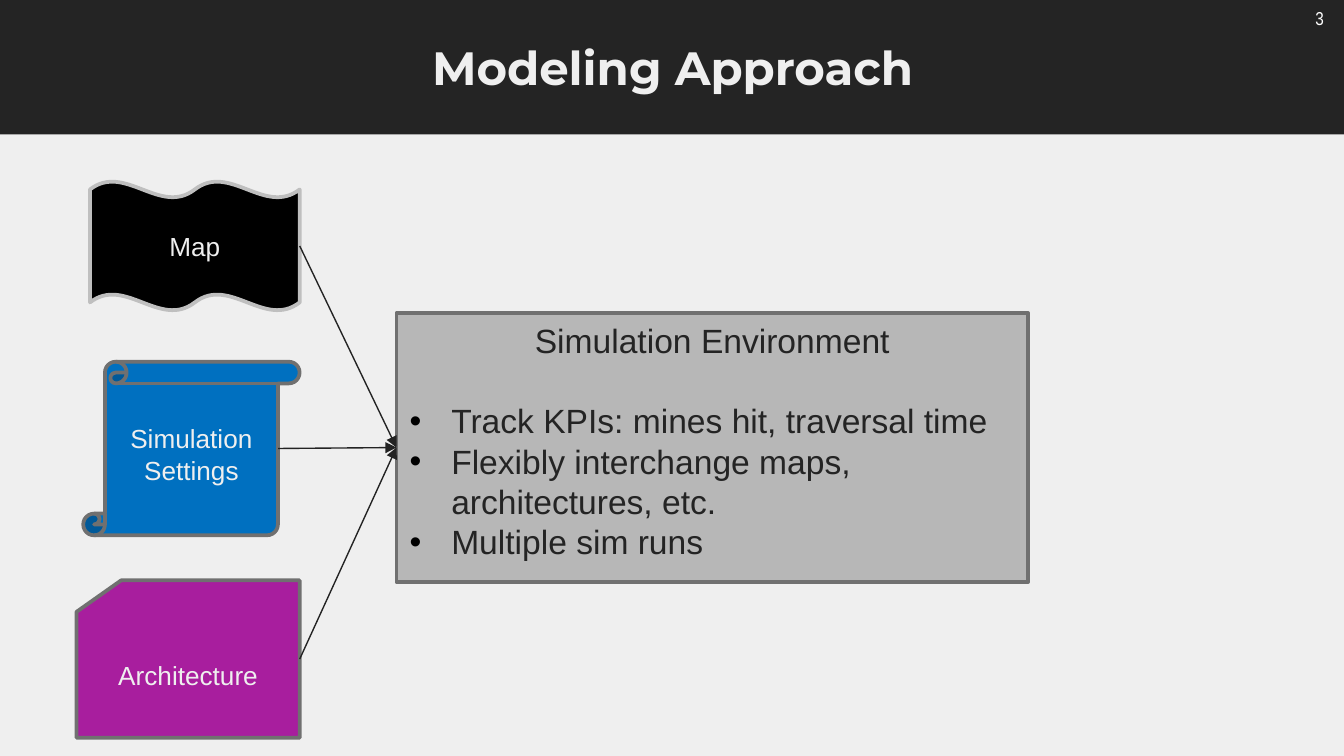
from dataclasses import dataclass

from lxml.etree import SubElement
from pptx import Presentation
from pptx.dml.color import RGBColor
from pptx.enum.shapes import MSO_CONNECTOR, MSO_SHAPE
from pptx.enum.text import MSO_ANCHOR, PP_ALIGN
from pptx.oxml.ns import qn
from pptx.util import Inches, Pt


@dataclass(frozen=True)
class Theme:
    page: str = "EFEFEF"
    dark: str = "242424"
    white: str = "FFFFFF"
    black: str = "000000"
    silver: str = "BFBFBF"
    panel: str = "B7B7B7"
    edge: str = "707070"
    blue: str = "0070C0"
    purple: str = "A81E9E"
    arrow: str = "232323"
    body_font: str = "Arial"
    title_font: str = "Montserrat"
    number_font: str = "Arial Narrow"
    title: int = 25
    body: int = 18
    label: int = 14
    number: int = 10
    outline: float = 2
    thin: float = 0.75


@dataclass(frozen=True)
class Box:
    x: float
    y: float
    w: float
    h: float

    def inner(self, x, y, w, h):
        """Inner box, given in percent of this one."""
        return Box(self.x + self.w * x / 100, self.y + self.h * y / 100,
                   self.w * w / 100, self.h * h / 100)

    @property
    def middle(self):
        return self.y + self.h / 2

    def emu(self):
        return [Inches(v) for v in (self.x, self.y, self.w, self.h)]


T = Theme()
SLIDE = Box(0, 0, 10, 5.625)


def rgb(value):
    return RGBColor.from_string(value)


def write(p, text, size=T.body, color=T.dark, font=T.body_font, bold=False,
          align=PP_ALIGN.LEFT, after=0, indent=0, bullet=None):
    """Fill a paragraph; a bullet hangs in the indent (inches)."""
    p.alignment = align
    p.space_after = Pt(after)
    r = p.add_run()
    r.text = text
    r.font.size, r.font.bold, r.font.name = Pt(size), bold, font
    r.font.color.rgb = rgb(color)
    pPr = p._p.get_or_add_pPr()
    pPr.set("marL", str(Inches(indent)))
    if bullet:
        pPr.set("indent", str(-Inches(indent)))
        clr = SubElement(pPr, qn("a:buClr"))
        SubElement(clr, qn("a:srgbClr")).set("val", T.black)
        SubElement(pPr, qn("a:buFont")).set("typeface", T.body_font)
        SubElement(pPr, qn("a:buChar")).set("char", bullet)


def add_shape(slide, kind, box, fill, line=None, anchor=MSO_ANCHOR.MIDDLE):
    sp = slide.shapes.add_shape(kind, *box.emu())
    sp.shadow.inherit = False
    sp.fill.solid()
    sp.fill.fore_color.rgb = rgb(fill)
    if line:
        sp.line.color.rgb = rgb(line)
        sp.line.width = Pt(T.outline)
    else:
        sp.line.fill.background()
    sp.text_frame.word_wrap = True
    sp.text_frame.vertical_anchor = anchor
    return sp


def add_text(slide, box, text, wrap=True, inset=0.05, **fmt):
    tf = slide.shapes.add_textbox(*box.emu()).text_frame
    tf.word_wrap = wrap
    tf.margin_top = tf.margin_bottom = Inches(inset)
    write(tf.paragraphs[0], text, **fmt)


def add_arrow(slide, start, end):
    cx = slide.shapes.add_connector(
        MSO_CONNECTOR.STRAIGHT, *[Inches(v) for v in (*start, *end)])
    cx.line.color.rgb = rgb(T.arrow)
    cx.line.width = Pt(T.thin)
    spPr = cx._element.spPr
    SubElement(spPr.find(qn("a:ln")), qn("a:tailEnd")).set("type", "triangle")
    SubElement(spPr, qn("a:effectLst"))


def header(slide, box, title, number):
    add_shape(slide, MSO_SHAPE.RECTANGLE, box, T.dark)
    add_text(slide, box.inner(95.6, 0, 4.7, 27), number, wrap=False, indent=0.13,
             size=T.number, color=T.white, font=T.number_font)
    add_text(slide, box.inner(7.9, 19, 84.3, 63), title, inset=0.1, size=T.title,
             color=T.page, font=T.title_font, bold=True, align=PP_ALIGN.CENTER)


def inputs(slide, box):
    """Stack the three inputs; return the points their arrows leave from."""
    wave = box.inner(6, 0, 94, 23.2)
    scroll = box.inner(3, 32.4, 97, 31.2)
    card = box.inner(0, 71.7, 100, 28.3)
    rows = [
        ("Map", MSO_SHAPE.DOUBLE_WAVE, wave, T.black, T.silver),
        ("Architecture", MSO_SHAPE.FLOWCHART_CARD, card, T.purple, T.edge),
        ("Simulation Settings", MSO_SHAPE.VERTICAL_SCROLL, scroll, T.blue, T.edge),
    ]
    starts = []
    for text, kind, area, fill, line in rows:
        sp = add_shape(slide, kind, area, fill, line)
        write(sp.text_frame.paragraphs[0], text, size=T.label, color=T.page,
              align=PP_ALIGN.CENTER)
        # The scroll's sheet ends one eighth of its height before its rod.
        curl = area.h / 8 if area is scroll else 0
        starts.append((area.x + area.w - curl, area.middle))
    return starts


def environment(slide, box, heading, points):
    """Draw the panel; return the point where arrows arrive."""
    sp = add_shape(slide, MSO_SHAPE.RECTANGLE, box, T.panel, T.edge, MSO_ANCHOR.TOP)
    tf = sp.text_frame
    write(tf.paragraphs[0], heading, align=PP_ALIGN.CENTER, after=1.2 * T.body)
    for point in points:
        write(tf.add_paragraph(), point, indent=0.31, bullet="•")
    return box.x, box.middle


def main():
    prs = Presentation()
    prs.slide_width, prs.slide_height = Inches(SLIDE.w), Inches(SLIDE.h)
    slide = prs.slides.add_slide(prs.slide_layouts[6])
    slide.background.fill.solid()
    slide.background.fill.fore_color.rgb = rgb(T.page)

    header(slide, SLIDE.inner(0, 0, 100, 17.78), "Modeling Approach", "3")
    starts = inputs(slide, SLIDE.inner(5.7, 24, 16.6, 73.6))
    target = environment(
        slide, SLIDE.inner(29.5, 41.42, 47, 35.56), "Simulation Environment",
        ["Track KPIs: mines hit, traversal time",
         "Flexibly interchange maps, architectures, etc.",
         "Multiple sim runs"])
    for start in starts:
        add_arrow(slide, start, target)
    prs.save("out.pptx")


if __name__ == "__main__":
    main()
